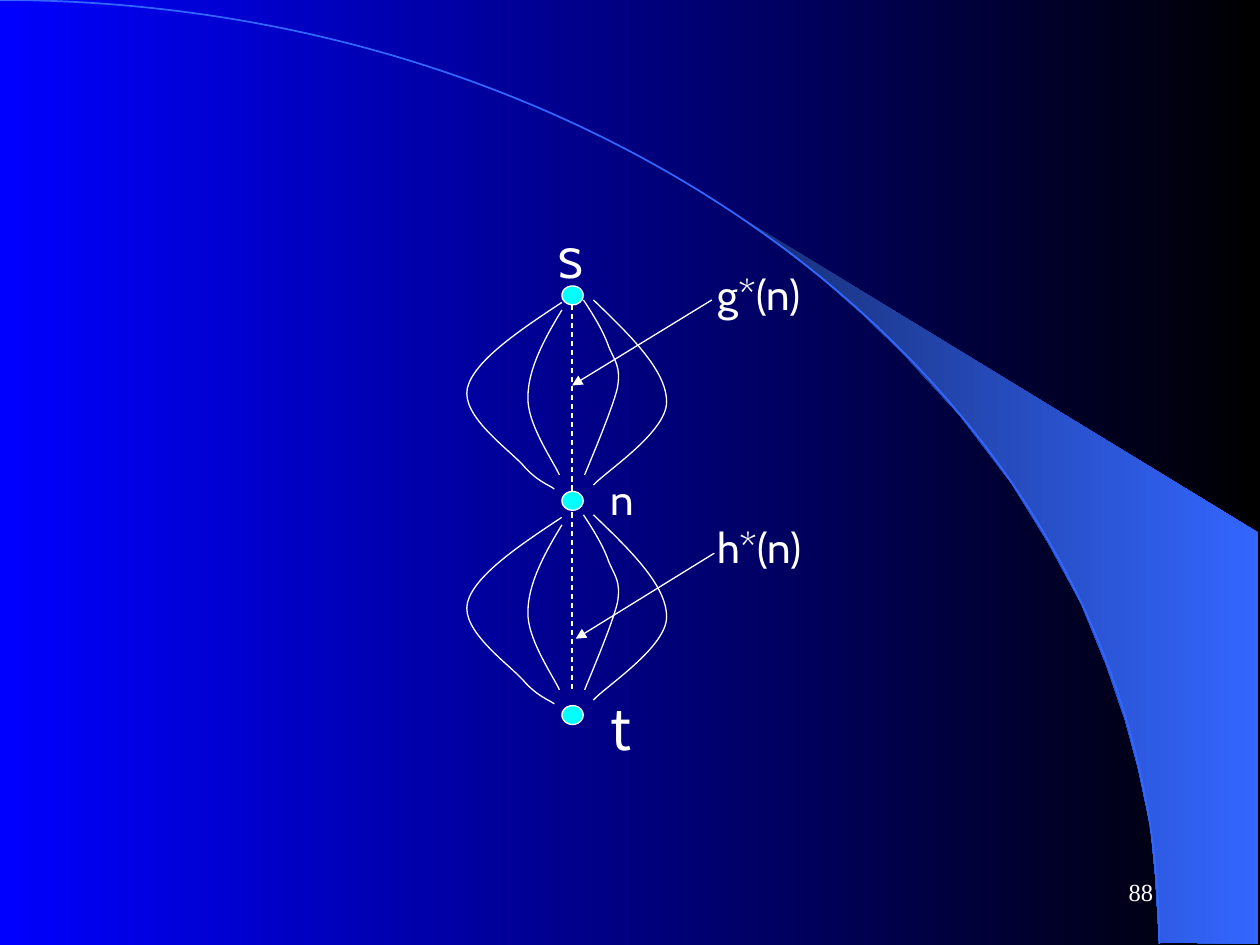
import dataclasses

import lxml.etree
import pptx
import pptx.dml.color
import pptx.enum.dml
import pptx.enum.shapes
import pptx.enum.text
import pptx.oxml.ns
import pptx.util

Pt = pptx.util.Pt
RGB = pptx.dml.color.RGBColor
qn = pptx.oxml.ns.qn
Point = tuple[float, float]


@dataclasses.dataclass(frozen=True)
class Theme:
    white: RGB = RGB(0xFF, 0xFF, 0xFF)
    node: RGB = RGB(0x00, 0xFF, 0xFF)
    arc: RGB = RGB(0x33, 0x66, 0xFF)
    background: tuple[RGB, RGB] = (RGB(0, 0, 0xFF), RGB(0, 0, 0))
    wedge: tuple[RGB, RGB] = (RGB(0x18, 0x2F, 0x76), RGB(0x33, 0x66, 0xFF))
    thin: float = 0.75
    small: float = 14
    medium: float = 24
    large: float = 32
    label_font: str = "Cabin"
    end_font: str = "Noto Sans CJK SC"
    number_font: str = "Times New Roman"


THEME = Theme()


@dataclasses.dataclass(frozen=True)
class Label:
    text: str
    left: float
    top: float
    width: float
    height: float
    size: float = THEME.medium
    font: str = THEME.label_font


@dataclasses.dataclass(frozen=True)
class Line:
    start: Point
    end: Point
    arrow: bool = True


# Background decoration
WEDGE = [
    (662.4, 538.6), (719.3, 539.3), (719.3, 304.6), (424.1, 124.6),
    (449.3, 143.3), (470.2, 159.8), (493.2, 180), (515.5, 201.6),
    (548.6, 237.6), (578.2, 276.5), (599, 310.3), (617.8, 344.9),
    (632.2, 380.2), (643, 411.8), (650.2, 438.5), (657.4, 472.3),
    (660.2, 501.1),
]
ARC = [(0, 0), (365.8, 0), (662.4, 241.2), (662.4, 539.3)]

# Alternative routes from S to n; the same set repeats from n to t
ROUTES = [
    [(321.1, 172.8), (295.9, 189.4), (270.7, 206.6), (267.1, 221.8),
     (263.5, 237.6), (290.2, 256.3), (298.8, 265.7),
     (306.7, 275), (313.9, 277.2), (316.8, 279.4)],
    [(321.1, 177.1), (311, 193.7), (301.7, 211), (301.7, 226.8),
     (301, 241.9), (316.1, 263.5), (319.7, 271.4)],
    [(333.4, 171.4), (339.1, 180), (344.9, 189.4), (347.8, 198),
     (351.4, 206.6), (355, 209.5), (352.8, 221.8),
     (349.9, 234), (337, 264.2), (334.1, 271.4)],
    [(339.1, 171.4), (360, 191.5), (380.9, 211.7), (380.9, 229.7),
     (380.9, 247), (346.3, 269.3), (339.1, 277.2)],
]
ROUTE_SHIFTS = (0, 122.8)
NODE_TOPS = (163.4, 280.8, 403.2)
BEST_ROUTE = Line((326.9, 174.2), (326.9, 394.6), arrow=False)
POINTERS = [
    Line((406.8, 171.4), (326.9, 220.3)),
    Line((408.2, 316.1), (329, 365)),
]
LABELS = [
    Label("S", 311.8, 131.8, 37.4, 36),
    Label("n", 342, 267.1, 37.4, 36),
    Label("t", 342, 393.1, 64.8, 46.1, THEME.large, THEME.end_font),
    Label("g*(n)", 403.2, 149.8, 67.7, 64.8),
    Label("h*(n)", 403.2, 294.5, 67.7, 64.8),
]


def set_gradient(fill, colors: tuple[RGB, RGB]) -> None:
    fill.gradient()
    fill.gradient_angle = 0
    for stop, color in zip(fill.gradient_stops, colors):
        stop.color.rgb = color


def set_line(shape, color: RGB, width: float) -> None:
    shape.line.color.rgb = color
    shape.line.width = Pt(width)


def add_outline(slide, points: list[Point], close: bool):
    start, *others = [(Pt(x), Pt(y)) for x, y in points]
    builder = slide.shapes.build_freeform(*start)
    builder.add_line_segments(others, close=close)
    shape = builder.convert_to_shape()
    shape.shadow.inherit = False
    return shape


def add_curve(slide, points: list[Point], color: RGB, width: float) -> None:
    """Draw a Bézier curve: a start, then two controls and an end per piece."""
    shape = add_outline(slide, points, close=False)
    shape.fill.background()
    set_line(shape, color, width)
    steps = list(shape.element.iter(qn("a:lnTo")))
    for first in range(0, len(steps), 3):
        piece = lxml.etree.Element(qn("a:cubicBezTo"))
        steps[first].addprevious(piece)
        for step in steps[first:first + 3]:
            piece.append(step[0])
            step.getparent().remove(step)


def add_line(slide, line: Line) -> None:
    connector = slide.shapes.add_connector(
        pptx.enum.shapes.MSO_CONNECTOR.STRAIGHT,
        *(Pt(value) for value in line.start + line.end))
    set_line(connector, THEME.white, THEME.thin)
    if line.arrow:
        outline = connector.line._get_or_add_ln()
        lxml.etree.SubElement(outline, qn("a:tailEnd"), type="triangle")
    else:
        connector.line.dash_style = pptx.enum.dml.MSO_LINE.DASH
    lxml.etree.SubElement(connector.element.spPr, qn("a:effectLst"))


def add_node(slide, top: float) -> None:
    node = slide.shapes.add_shape(
        pptx.enum.shapes.MSO_SHAPE.OVAL, Pt(321.1), Pt(top), Pt(12.2), Pt(10.8))
    node.shadow.inherit = False
    node.fill.solid()
    node.fill.fore_color.rgb = THEME.node
    set_line(node, THEME.white, THEME.thin)


def add_label(slide, label: Label):
    box = slide.shapes.add_textbox(
        Pt(label.left), Pt(label.top), Pt(label.width), Pt(label.height))
    frame = box.text_frame
    frame.word_wrap = True
    frame.text = label.text
    font = frame.paragraphs[0].font
    font.name = label.font
    font.size = Pt(label.size)
    font.color.rgb = THEME.white
    return frame


def main() -> None:
    deck = pptx.Presentation()
    deck.slide_width, deck.slide_height = Pt(720), Pt(540)
    slide = deck.slides.add_slide(deck.slide_layouts[6])

    # Background
    set_gradient(slide.background.fill, THEME.background)
    wedge = add_outline(slide, WEDGE, close=True)
    set_gradient(wedge.fill, THEME.wedge)
    wedge.line.fill.background()
    add_curve(slide, ARC, THEME.arc, 1)

    # Slide number
    number = add_label(slide, Label(
        "88", 516.2, 491.8, 149.8, 36, THEME.small, THEME.number_font))
    number.vertical_anchor = pptx.enum.text.MSO_ANCHOR.MIDDLE
    number.paragraphs[0].alignment = pptx.enum.text.PP_ALIGN.RIGHT

    # Routes and nodes
    add_line(slide, BEST_ROUTE)
    for shift in ROUTE_SHIFTS:
        for route in ROUTES:
            add_curve(slide, [(x, y + shift) for x, y in route],
                      THEME.white, THEME.thin)
    for top in NODE_TOPS:
        add_node(slide, top)

    # Pointers and labels
    for pointer in POINTERS:
        add_line(slide, pointer)
    for label in LABELS:
        add_label(slide, label)

    deck.save("out.pptx")


if __name__ == "__main__":
    main()
